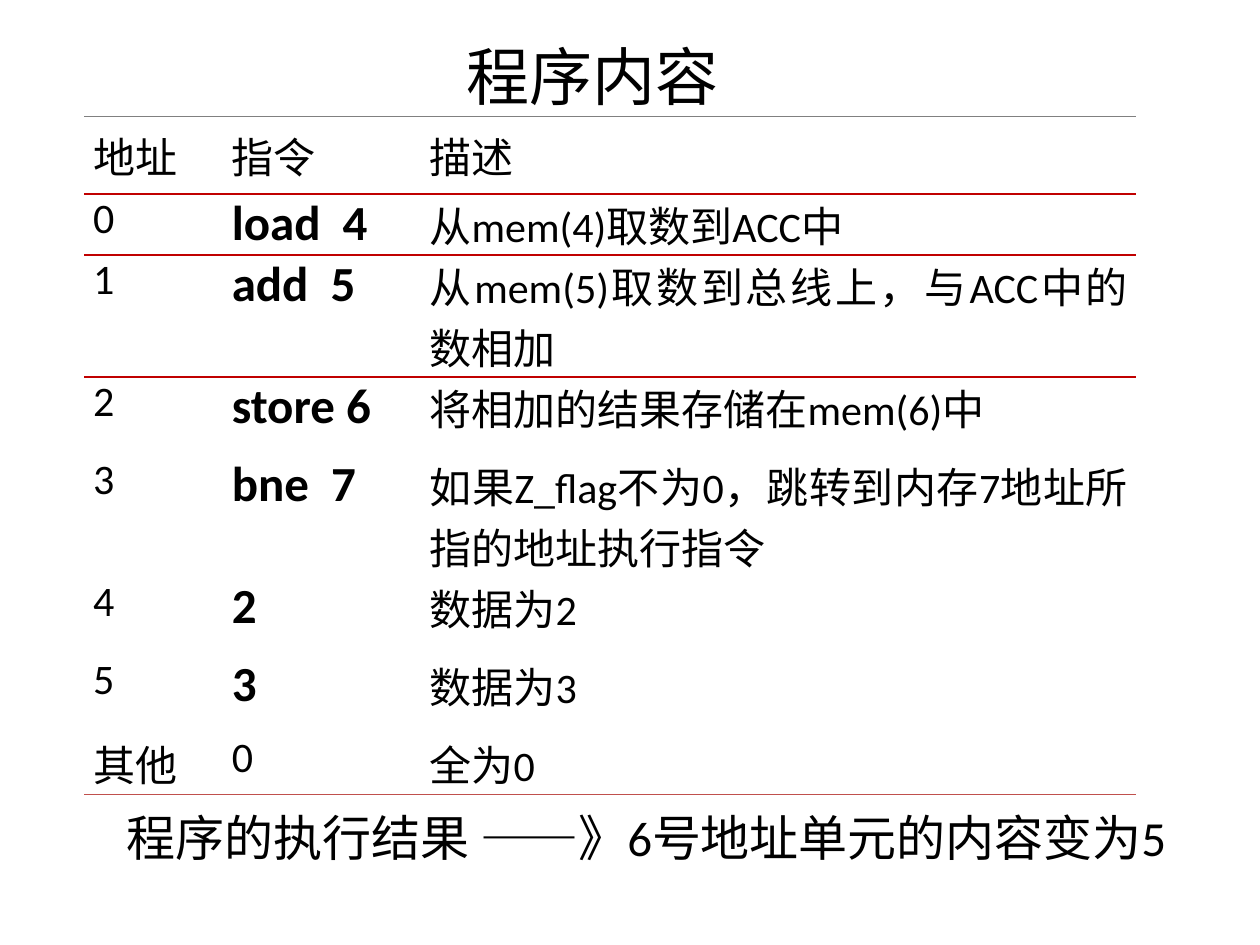
"""Build the slide that lists a small program held in memory."""
from dataclasses import dataclass
from typing import Optional

from lxml.etree import SubElement
from pptx import Presentation
from pptx.dml.color import RGBColor
from pptx.enum.text import MSO_ANCHOR as Anchor, PP_ALIGN as Align
from pptx.oxml.ns import qn
from pptx.util import Inches, Pt

BLACK = RGBColor(0x00, 0x00, 0x00)
GREY = RGBColor(0x80, 0x80, 0x80)
RED = RGBColor(0xC0, 0x00, 0x00)
BRICK = RGBColor(0xC0, 0x50, 0x4D)
FONT = "Calibri"
PLAIN_STYLE = "{2D5ABB26-0587-4C30-8999-92F81FD0307C}"
COLUMN_WIDTHS = (1.1, 1.57, 5.68)


@dataclass(frozen=True)
class Rule:
    """A horizontal border of a row."""
    color: RGBColor
    width: float = 1


@dataclass(frozen=True)
class Entry:
    """One row of the program listing."""
    address: str
    instruction: str
    description: str
    height: float = 0.62
    bold: bool = True
    anchor: Anchor = Anchor.TOP
    top: Optional[Rule] = None
    bottom: Optional[Rule] = None


HEADER_RULE = Rule(RED)
ENTRIES = (
    Entry("地址", "指令", "描述", bold=False, anchor=Anchor.MIDDLE,
          top=Rule(GREY, 0.5), bottom=HEADER_RULE),
    Entry("0", "load  4", "从mem(4)取数到ACC中", 0.48, top=HEADER_RULE, bottom=HEADER_RULE),
    Entry("1", "add  5", "从mem(5)取数到总线上，与ACC中的数相加", 0.44, top=HEADER_RULE),
    Entry("2", "store 6", "将相加的结果存储在mem(6)中"),
    Entry("3", "bne  7", "如果Z_flag不为0，跳转到内存7地址所指的地址执行指令", 0.94),
    Entry("4", "2", "数据为2"),
    Entry("5", "3", "数据为3"),
    Entry("其他", "0", "全为0", 0.49, bold=False, bottom=Rule(BRICK)),
)


def write(frame, text: str, size: float, align: Align, bold: bool = False) -> None:
    """Set the text of a frame and format it."""
    frame.text = text
    paragraph = frame.paragraphs[0]
    paragraph.alignment = align
    for run in paragraph.runs:
        run.font.name = FONT
        run.font.size = Pt(size)
        run.font.bold = bold
        run.font.color.rgb = BLACK


def draw_rules(cell, entry: Entry) -> None:
    """Add the top and bottom borders of a cell."""
    properties = cell._tc.get_or_add_tcPr()
    for tag, rule in (("a:lnB", entry.bottom), ("a:lnT", entry.top)):
        if rule:
            line = SubElement(properties, qn(tag), w=str(Pt(rule.width)))
            fill = SubElement(line, qn("a:solidFill"))
            SubElement(fill, qn("a:srgbClr"), val=str(rule.color))
            properties.insert(0, line)


def fill_row(table, index: int, entry: Entry) -> None:
    """Write one entry into its table row."""
    table.rows[index].height = Inches(entry.height)
    texts = (entry.address, entry.instruction, entry.description)
    for column, text in enumerate(texts):
        cell = table.cell(index, column)
        bold = entry.bold and column == 1
        write(cell.text_frame, text, 28 if bold else 24, Align.JUSTIFY, bold)
        cell.vertical_anchor = entry.anchor
        cell.margin_left = cell.margin_right = Inches(0.07)
        cell.margin_top = cell.margin_bottom = 0
        cell.fill.background()
        draw_rules(cell, entry)


def add_listing(slide) -> None:
    """Add the program table."""
    height = sum(entry.height for entry in ENTRIES)
    graphic = slide.shapes.add_table(
        len(ENTRIES), len(COLUMN_WIDTHS), Inches(0.67), Inches(0.92),
        Inches(sum(COLUMN_WIDTHS)), Inches(height))
    table = graphic.table
    table.first_row = table.horz_banding = False
    table._tbl.tblPr.find(qn("a:tableStyleId")).text = PLAIN_STYLE
    for column, width in zip(table.columns, COLUMN_WIDTHS):
        column.width = Inches(width)
    for index, entry in enumerate(ENTRIES):
        fill_row(table, index, entry)


def build() -> None:
    """Create and save the presentation."""
    deck = Presentation()
    deck.slide_width, deck.slide_height = Inches(10), Inches(7.5)
    slide = deck.slides.add_slide(deck.slide_layouts[5])
    title = slide.shapes.title
    title.left, title.top = Inches(0.2), Inches(0.21)
    title.width, title.height = Inches(9), Inches(0.77)
    title.text_frame.vertical_anchor = Anchor.MIDDLE
    write(title.text_frame, "程序内容", 36, Align.CENTER)
    add_listing(slide)
    result = slide.shapes.add_textbox(Inches(0.91), Inches(6.36), Inches(8.66), Inches(0.57))
    result.text_frame.word_wrap = True
    write(result.text_frame, "程序的执行结果 ——》6号地址单元的内容变为5", 28, Align.LEFT)
    deck.save("out.pptx")


build()
